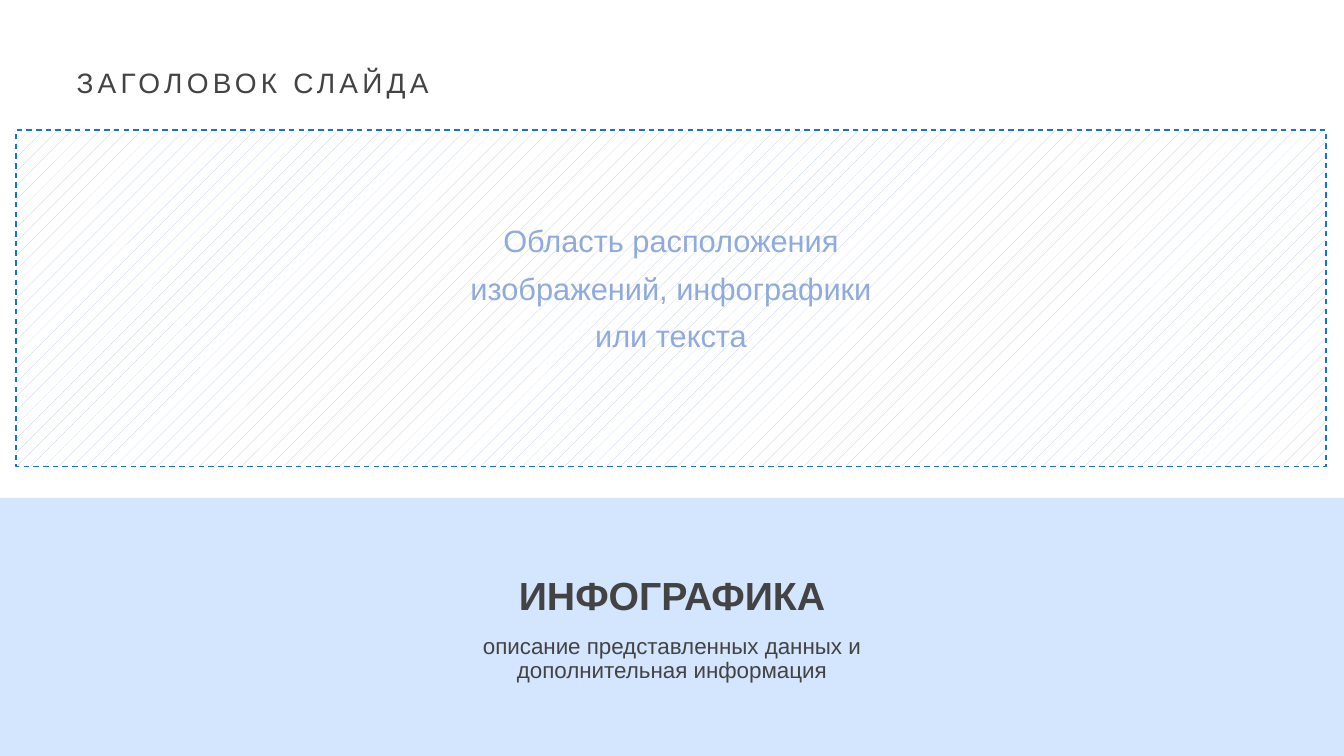
from pptx import Presentation
from pptx.dml.color import RGBColor
from pptx.enum.dml import MSO_LINE, MSO_PATTERN
from pptx.enum.shapes import MSO_SHAPE
from pptx.enum.text import MSO_ANCHOR, MSO_AUTO_SIZE, PP_ALIGN
from pptx.util import Inches, Pt

WHITE = RGBColor(0xFF, 0xFF, 0xFF)
PALE_BLUE = RGBColor(0xD4, 0xE5, 0xFE)
HATCH_BLUE = RGBColor(0xB4, 0xC7, 0xE7)
SOFT_BLUE = RGBColor(0x8F, 0xAA, 0xDC)
BRIGHT_BLUE = RGBColor(0x17, 0x6D, 0xEA)
CHARCOAL = RGBColor(0x43, 0x43, 0x43)
TITLE_ONLY = 5


def write(frame, lines, size, color=CHARCOAL, bold=False, align=PP_ALIGN.CENTER,
          line_spacing=0.9, space_before=10, tracking=0):
    """Fill a text frame, one paragraph per line; tracking is in points."""
    frame.word_wrap = True
    for index, line in enumerate(lines):
        para = frame.add_paragraph() if index else frame.paragraphs[0]
        para.alignment = align
        para.line_spacing = line_spacing
        para.space_before = Pt(space_before if index else 0)
        span = para.add_run()
        span.text = line
        span.font.name = "Arial"
        span.font.size = Pt(size)
        span.font.bold = bold
        span.font.color.rgb = color
        if tracking:
            span.font._element.set("spc", str(tracking * 100))


class PageBuilder:
    """Draws on one page; every area is left, top, width, height in percent."""

    def __init__(self, deck):
        self.deck = deck
        self.page = deck.slides.add_slide(deck.slide_layouts[TITLE_ONLY])

    def place(self, area):
        sides = (self.deck.slide_width, self.deck.slide_height) * 2
        return [round(side * share / 100) for side, share in zip(sides, area)]

    def title(self, text, area):
        box = self.page.shapes.title
        box.left, box.top, box.width, box.height = self.place(area)
        frame = box.text_frame
        frame.margin_left = frame.margin_right = 0
        frame.margin_top = frame.margin_bottom = 0
        frame.vertical_anchor = MSO_ANCHOR.TOP
        frame.auto_size = MSO_AUTO_SIZE.SHAPE_TO_FIT_TEXT
        write(frame, [text], 20, align=PP_ALIGN.LEFT, line_spacing=1.15, tracking=3)

    def rectangle(self, area):
        box = self.page.shapes.add_shape(MSO_SHAPE.RECTANGLE, *self.place(area))
        box.shadow.inherit = False
        return box

    def band(self, area, color):
        box = self.rectangle(area)
        box.fill.solid()
        box.fill.fore_color.rgb = color
        box.line.fill.background()

    def hatched_frame(self, area):
        box = self.rectangle(area)
        box.fill.patterned()
        box.fill.pattern = MSO_PATTERN.PERCENT_5
        box.fill.fore_color.rgb = HATCH_BLUE
        box.fill.back_color.rgb = WHITE
        box.line.color.rgb = BRIGHT_BLUE
        box.line.width = Pt(1)
        box.line.dash_style = MSO_LINE.DASH

    def text(self, lines, area, size, **style):
        box = self.page.shapes.add_textbox(*self.place(area))
        box.text_frame.vertical_anchor = MSO_ANCHOR.MIDDLE
        write(box.text_frame, lines, size, **style)


def main():
    deck = Presentation()
    deck.slide_width, deck.slide_height = Inches(13.33), Inches(7.5)
    builder = PageBuilder(deck)

    builder.title("ЗАГОЛОВОК СЛАЙДА", (5.7, 8, 37.5, 5.2))
    builder.band((0, 65.87, 100, 34.13), PALE_BLUE)
    builder.text(["ИНФОГРАФИКА"], (36.75, 70.8, 26.5, 16.53), 28, bold=True)
    builder.text(["описание представленных данных и дополнительная информация"],
                 (35.15, 82.93, 29.7, 8.53), 16)
    builder.hatched_frame((1.2, 17.2, 97.45, 44.53))
    builder.text(["Область расположения", "изображений, инфографики", "или текста"],
                 (14.7, 30.13, 70.45, 16.53), 22, color=SOFT_BLUE)

    deck.save("out.pptx")


if __name__ == "__main__":
    main()
